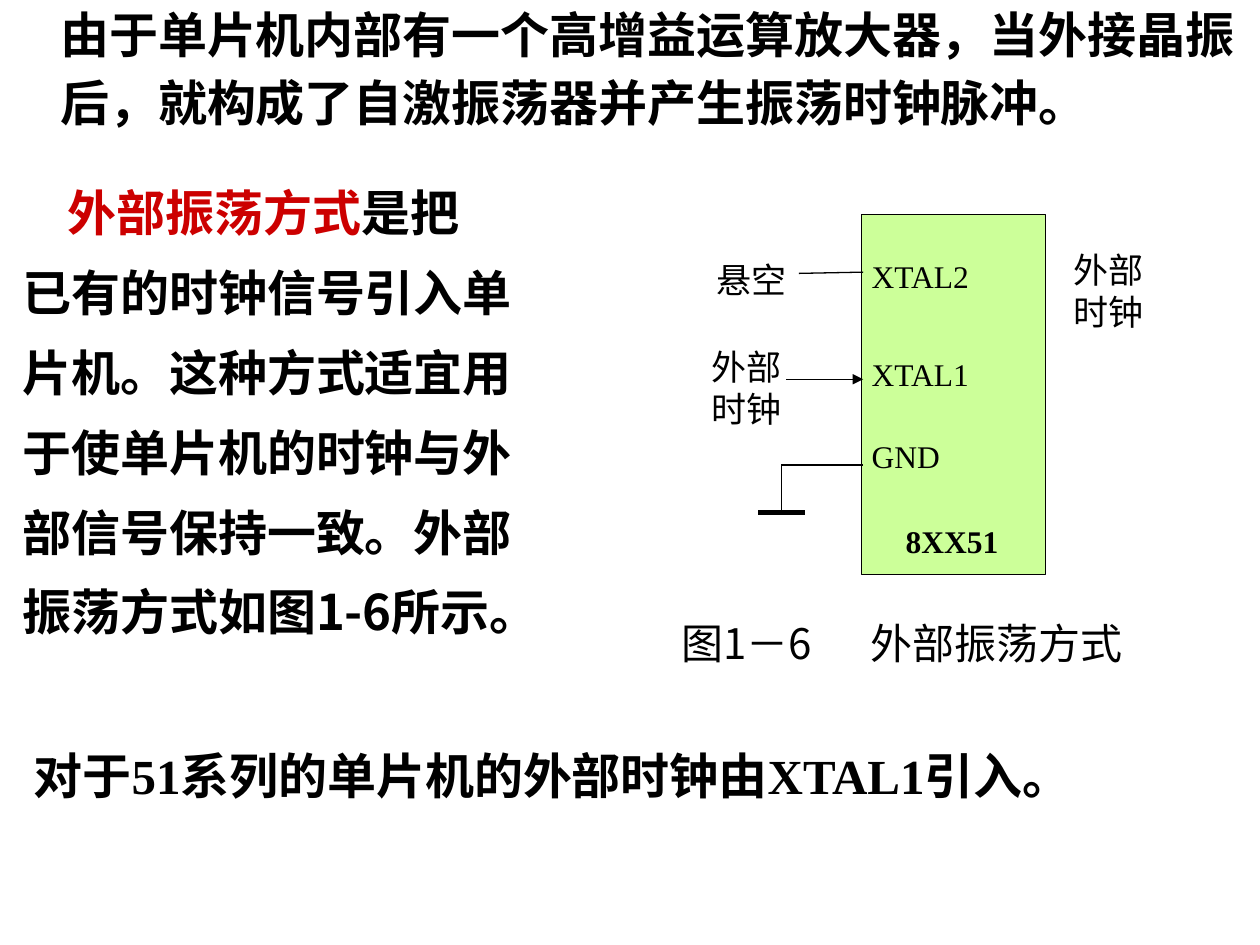
import pptx
import pptx.util
import pptx.dml.color
import pptx.enum.shapes
import pptx.oxml
import pptx.oxml.ns

Inches, Pt = pptx.util.Inches, pptx.util.Pt
COLORS = {"ink": "000000", "accent": "CC0000", "chip": "CCFF99", "paper": "FFFFFF"}
SANS, SERIF = "Noto Sans CJK SC", "Times New Roman"

BODY = dict(size=28, bold=True, spacing=1.15, before=7)
SMALL = dict(size=20, font=SERIF)
PIN = dict(size=18, font=SERIF)

intro = [[("由于单片机内部有一个高增益运算放大器，当外接晶振后，就构成了自激振荡器并产生振荡时钟脉冲。", "ink")]]
external_mode = [
    [("外部振荡方式", "accent"), ("是把", "ink")],
    *[[(line, "ink")] for line in (
        "已有的时钟信号引入单",
        "片机。这种方式适宜用",
        "于使单片机的时钟与外",
        "部信号保持一致。外部",
        "振荡方式如图1-6所示。",
    )],
]
conclusion = [[("对于51系列的单片机的外部时钟由XTAL1引入。", "ink")]]
caption = [[("图1－6\t外部振荡方式", "ink")]]

chip = (6.84, 1.7, 1.46, 2.86)
pins = [("XTAL2", 1.99, 1.28), ("XTAL1", 2.77, 1.1), ("GND", 3.42, 0.92)]
signals = [
    ("外部时钟", (5.55, 2.69, 0.94, 0.77)),
    ("悬空", (5.59, 2, 1.1, 0.44)),
    ("外部时钟", (8.42, 1.92, 0.88, 0.77)),
]
wires = [
    ((6.24, 3.01), (6.85, 3.01), 0.75, True),
    ((6.34, 2.17), (6.85, 2.16), 0.75, False),
    ((6.2, 3.69), (6.85, 3.69), 0.75, False),
    ((6.2, 3.69), (6.2, 4.07), 0.75, False),
    ((6.02, 4.07), (6.39, 4.07), 3, False),
]


def color(name):
    return pptx.dml.color.RGBColor.from_string(COLORS[name])


def add_element(parent, tag, **attributes):
    element = pptx.oxml.parse_xml(f"<a:{tag} {pptx.oxml.ns.nsdecls('a')}/>")
    for name, value in attributes.items():
        element.set(name, str(value))
    parent.append(element)
    return element


def add_text(slide, place, paragraphs, size, font=SANS, bold=False, spacing=None,
             before=0, margin=0, first_indent=0, tab=None):
    frame = slide.shapes.add_textbox(*map(Inches, place)).text_frame
    frame.word_wrap = True
    for index, runs in enumerate(paragraphs):
        paragraph = frame.add_paragraph() if index else frame.paragraphs[0]
        properties = paragraph._p.get_or_add_pPr()
        if margin:
            properties.set("marL", str(Inches(margin)))
        if first_indent and index == 0:
            properties.set("indent", str(Inches(first_indent)))
        if tab:
            add_element(add_element(properties, "tabLst"), "tab", pos=Inches(tab), algn="l")
        if spacing:
            paragraph.line_spacing = spacing
        if index:
            paragraph.space_before = Pt(before)
        for words, ink in runs:
            run = paragraph.add_run()
            run.text = words
            run.font.size = Pt(size)
            run.font.bold = bold
            run.font.color.rgb = color(ink)
            run.font.name = font
            add_element(run.font._element, "ea", typeface=SANS)


def add_wire(slide, start, end, width, arrow):
    wire = slide.shapes.add_connector(
        pptx.enum.shapes.MSO_CONNECTOR.STRAIGHT, *map(Inches, start + end))
    wire.line.color.rgb = color("ink")
    wire.line.width = Pt(width)
    if arrow:
        add_element(wire.line._get_or_add_ln(), "tailEnd", type="triangle")
    add_element(wire._element.spPr, "effectLst")


def main():
    deck = pptx.Presentation()
    deck.slide_width, deck.slide_height = Inches(10), Inches(7.5)
    slide = deck.slides.add_slide(deck.slide_layouts[6])
    slide.background.fill.solid()
    slide.background.fill.fore_color.rgb = color("paper")

    add_text(slide, (0, -0.08, 10, 2.17), intro, margin=0.38, **BODY)
    add_text(slide, (0.08, 1.33, 5.25, 4.61), external_mode, first_indent=0.36, **BODY)
    add_text(slide, (0.17, 5.8, 9.83, 0.64), conclusion, font=SERIF, **BODY)

    body = slide.shapes.add_shape(
        pptx.enum.shapes.MSO_SHAPE.RECTANGLE, *map(Inches, chip))
    body.shadow.inherit = False
    body.fill.solid()
    body.fill.fore_color.rgb = color("chip")
    body.line.color.rgb = color("ink")
    body.line.width = Pt(0.75)

    for name, top, width in pins:
        add_text(slide, (6.82, top, width, 0.4), [[(name, "ink")]], **PIN)
    add_text(slide, (7.09, 4.09, 1.57, 0.4), [[("8XX51", "ink")]], bold=True, **PIN)
    for name, place in signals:
        add_text(slide, place, [[(name, "ink")]], **SMALL)
    for wire in wires:
        add_wire(slide, *wire)
    add_text(slide, (5.31, 4.77, 4.29, 0.58), caption, size=24, spacing=1.2, tab=1.5)

    deck.save("out.pptx")


if __name__ == "__main__":
    main()
